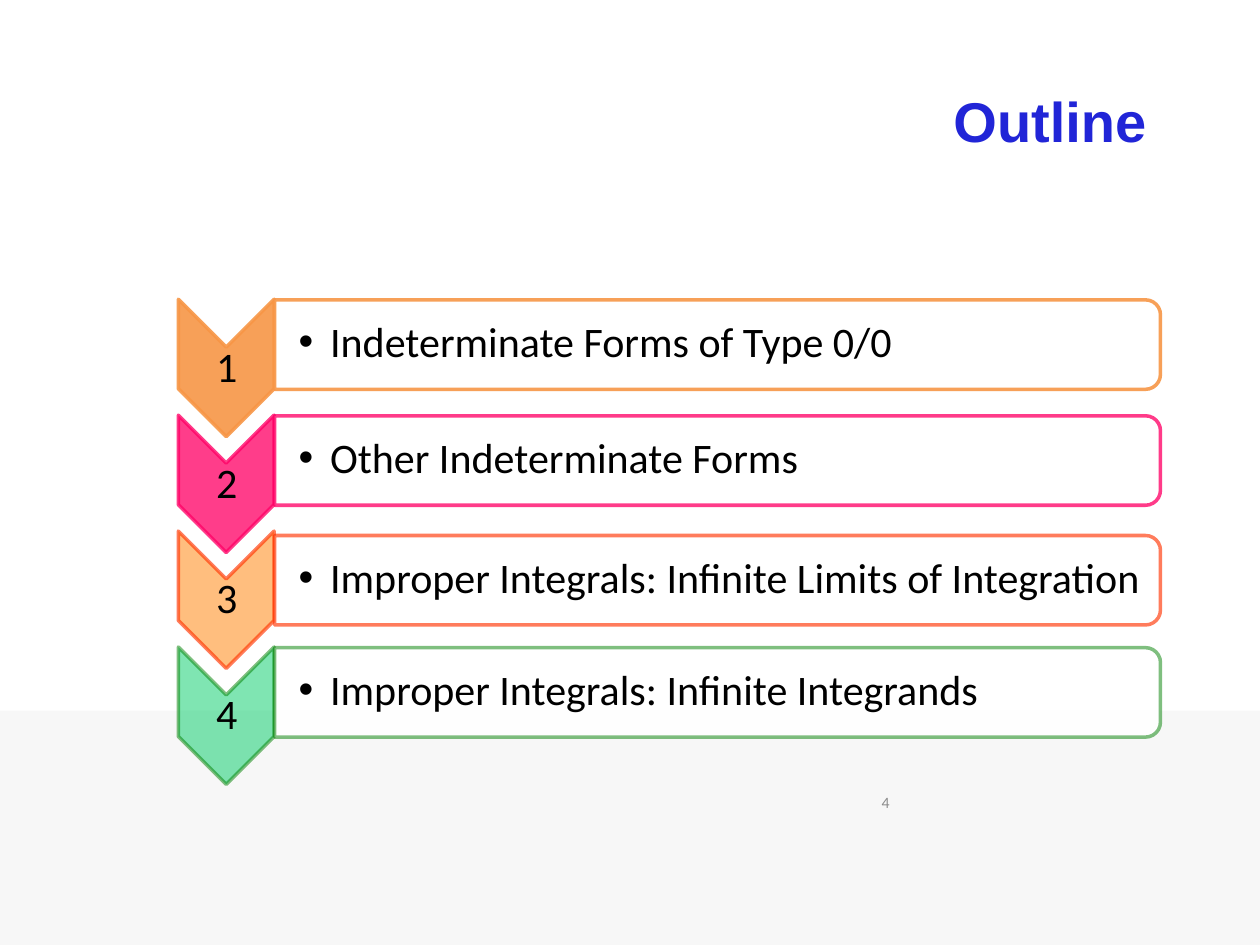
from lxml import etree
from pptx import Presentation
from pptx.dml.color import RGBColor
from pptx.enum.shapes import MSO_SHAPE
from pptx.enum.text import MSO_ANCHOR, PP_ALIGN
from pptx.oxml.ns import qn
from pptx.util import Inches, Pt

RECT = MSO_SHAPE.RECTANGLE
CHEVRON = MSO_SHAPE.CHEVRON
BAR = MSO_SHAPE.ROUND_2_SAME_RECTANGLE
MIDDLE = MSO_ANCHOR.MIDDLE
LEFT, CENTER, RIGHT = PP_ALIGN.LEFT, PP_ALIGN.CENTER, PP_ALIGN.RIGHT


def rgb(value):
    return RGBColor.from_string(value)


def set_alpha(color_parent, percent):
    color = color_parent.find(qn("a:solidFill"))[0]
    etree.SubElement(color, qn("a:alpha")).set("val", str(percent * 1000))


class OutlineSlide:
    body_font = "Calibri"
    title_font = "Arial"
    black = "000000"

    def __init__(self, prs):
        self.s = prs.slides.add_slide(prs.slide_layouts[5])

    def add_run(self, p, text, size, color, font, bold=False):
        r = p.add_run()
        r.text = text
        r.font.size = Pt(size)
        r.font.name = font
        r.font.bold = bold
        r.font.color.rgb = rgb(color)

    def title(self, text, x, y, w, h):
        sp = self.s.shapes.title
        sp.left, sp.top, sp.width, sp.height = map(Inches, (x, y, w, h))
        tf = sp.text_frame
        tf.vertical_anchor = MIDDLE
        p = tf.paragraphs[0]
        p.alignment = RIGHT
        self.add_run(p, text, 32, "2125D7", self.title_font, True)

    def shape(self, kind, x, y, w, h, fill, alpha=100, line=None, line_alpha=100, rotation=0):
        sp = self.s.shapes.add_shape(kind, *map(Inches, (x, y, w, h)))
        sp.shadow.inherit = False
        sp.rotation = rotation
        sp.fill.solid()
        sp.fill.fore_color.rgb = rgb(fill)
        spPr = sp.element.spPr
        set_alpha(spPr, alpha)
        if line is None:
            sp.line.fill.background()
            return
        sp.line.width = Pt(2)
        sp.line.color.rgb = rgb(line)
        set_alpha(spPr.find(qn("a:ln")), line_alpha)

    def text(self, text, x, y, w, h, size=24, color=black, align=CENTER,
             inset=(0.02, 0.02), bullet=False):
        tf = self.s.shapes.add_textbox(*map(Inches, (x, y, w, h))).text_frame
        tf.word_wrap = True
        tf.vertical_anchor = MIDDLE
        side, edge = map(Inches, inset)
        tf.margin_left = side
        tf.margin_right = Inches(0.02) if bullet else side
        tf.margin_top = tf.margin_bottom = edge
        p = tf.paragraphs[0]
        p.alignment = align
        p.line_spacing = 0.9
        if bullet:
            pPr = p._p.get_or_add_pPr()
            pPr.set("marL", str(Inches(0.25)))
            pPr.set("indent", str(-Inches(0.25)))
            etree.SubElement(pPr, qn("a:buFont")).set("typeface", "Arial")
            etree.SubElement(pPr, qn("a:buChar")).set("char", "•")
        self.add_run(p, text, size, color, self.body_font)

    def item(self, number, text, arrow_y, bar_y, fill, alpha, line, line_alpha, bar_alpha):
        self.shape(CHEVRON, 1.25, arrow_y, 1.09, 0.76, fill, alpha, line, line_alpha, 90)
        self.text(str(number), 1.42, arrow_y + 0.22, 0.76, 0.33)
        bar_length, bar_height = 7.03, 0.71
        offset = (bar_length - bar_height) / 2
        self.shape(BAR, 2.18 + offset, bar_y - offset, bar_height, bar_length,
                   "FFFFFF", 90, line, bar_alpha, 90)
        self.text(text, 2.18, bar_y + 0.03, 6.99, 0.64, align=LEFT,
                  inset=(0.19, 0.02), bullet=True)


def main():
    prs = Presentation()
    prs.slide_width, prs.slide_height = Inches(10), Inches(7.5)
    slide = OutlineSlide(prs)
    slide.shape(RECT, 0, 5.64, 10, 1.86, "F7F7F7")
    slide.text("4", 5.38, 6.23, 1.75, 0.3, 9, "8C8C8C", RIGHT, (0.07, 0.04))
    slide.title("Outline", 4.85, 0.48, 4.35, 0.94)
    items = [
        ("Indeterminate Forms of Type 0/0", 2.38, "F79646", 90, "F79646", 90, 90),
        ("Other Indeterminate Forms", 3.3, "FF0066", 76, "FF0066", 77, 76),
        ("Improper Integrals: Infinite Limits of Integration", 4.25,
         "FF9933", 63, "FF3300", 63, 63),
        ("Improper Integrals: Infinite Integrands", 5.14, "00CC66", 50, "008000", 50, 50),
    ]
    for i, (text, bar_y, *style) in enumerate(items):
        slide.item(i + 1, text, 2.54 + 0.92 * i, bar_y, *style)
    prs.save("out.pptx")


if __name__ == "__main__":
    main()
